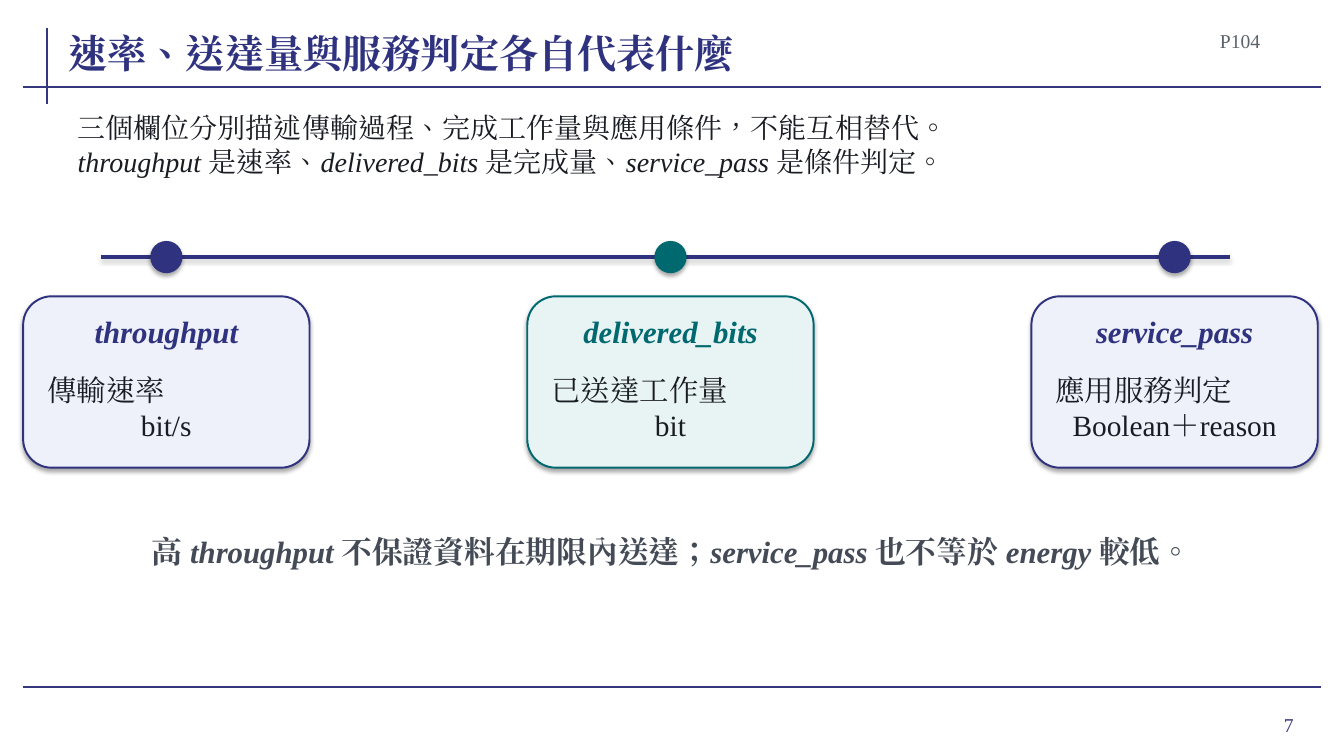
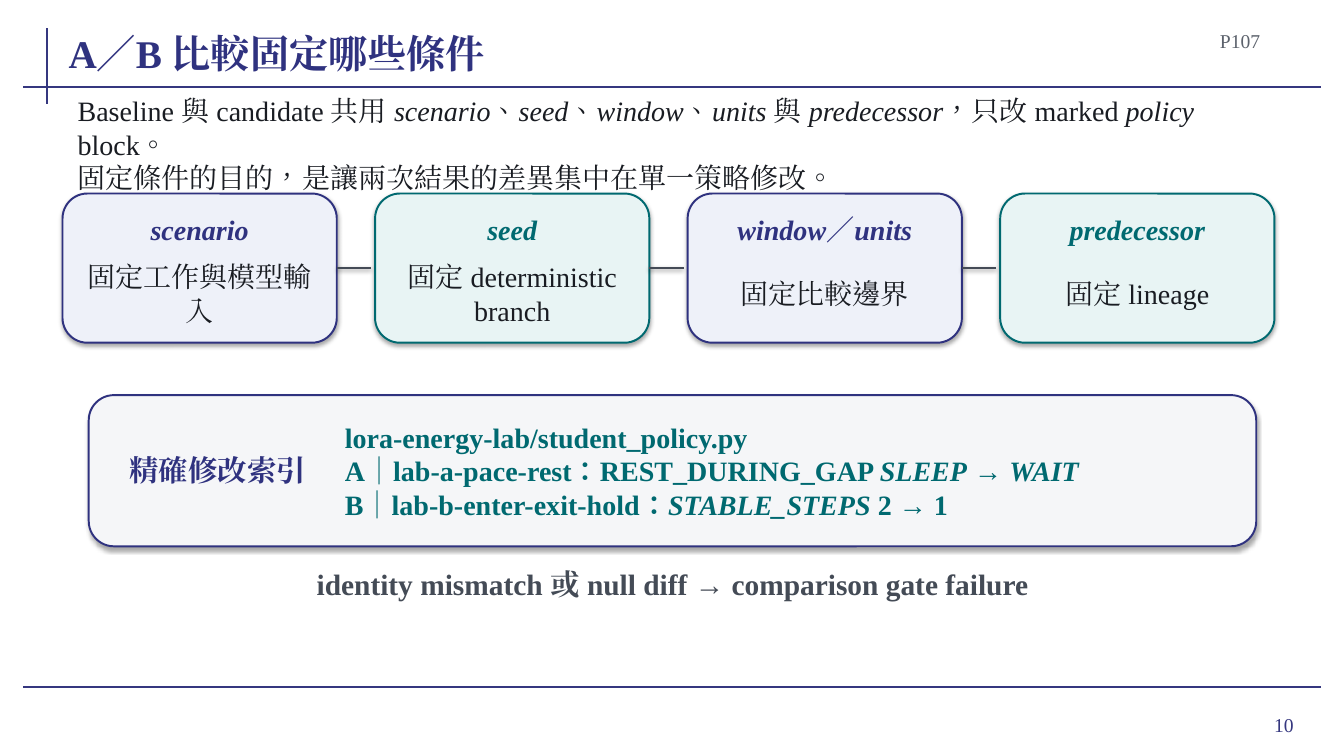
"""Build two lecture slides on measured fields and on A/B comparison conditions."""
from dataclasses import dataclass, replace
from typing import NamedTuple, Optional

from lxml import etree
from pptx import Presentation
from pptx.dml.color import RGBColor
from pptx.enum.lang import MSO_LANGUAGE_ID
from pptx.enum.shapes import MSO_CONNECTOR, MSO_SHAPE
from pptx.enum.text import MSO_ANCHOR, MSO_AUTO_SIZE, PP_ALIGN
from pptx.oxml.ns import qn
from pptx.shapes.autoshape import Shape
from pptx.shapes.base import BaseShape
from pptx.shapes.connector import Connector
from pptx.slide import Slide
from pptx.util import Inches, Pt

STRAIGHT = MSO_CONNECTOR.STRAIGHT
ROUNDED = MSO_SHAPE.ROUNDED_RECTANGLE
OVAL = MSO_SHAPE.OVAL
LEFT, CENTER, RIGHT = PP_ALIGN.LEFT, PP_ALIGN.CENTER, PP_ALIGN.RIGHT
TOP, MIDDLE, BOTTOM = MSO_ANCHOR.TOP, MSO_ANCHOR.MIDDLE, MSO_ANCHOR.BOTTOM
FIT_SHAPE = MSO_AUTO_SIZE.SHAPE_TO_FIT_TEXT
FIXED = MSO_AUTO_SIZE.NONE
CHINESE = MSO_LANGUAGE_ID.TRADITIONAL_CHINESE
RIGHT_SIDE = 3

FONT = "Times New Roman"
COLORS = {
    "white": "FFFFFF",
    "frame": "35377F",
    "navy": "2F327F",
    "teal": "006970",
    "navy_tint": "EEF1F9",
    "teal_tint": "E8F4F4",
    "panel": "F5F6F8",
    "ink": "191C22",
    "slate": "444B56",
    "gray": "5C626C",
}


class Area(NamedTuple):
    """Position and size in inches."""

    left: float
    top: float
    width: float
    height: float


class Shadow(NamedTuple):
    """Downward shadow: opacity in percent, blur and distance in points."""

    opacity: int
    blur: float
    distance: float


@dataclass(frozen=True)
class TextStyle:
    """Format of a text box; lead is the alignment of its first line."""

    size: float
    color: str
    bold: bool = False
    align: PP_ALIGN = CENTER
    lead: Optional[PP_ALIGN] = None
    anchor: MSO_ANCHOR = MIDDLE
    inset: float = 0.04
    fit: MSO_AUTO_SIZE = FIT_SHAPE


@dataclass(frozen=True)
class Card:
    """Heading and body of a card."""

    heading: str
    body: str


@dataclass(frozen=True)
class CardRow:
    """Row of equal cards with a fixed pitch."""

    first: Area
    pitch: float
    heading_size: float
    body_style: TextStyle
    cards: tuple[Card, ...]

    def area(self, index: int) -> Area:
        """Return the area of one card."""
        return self.first._replace(left=self.first.left + index * self.pitch)


SHAPE_SHADOW = Shadow(35, 3.1, 1.8)
LINE_SHADOW = Shadow(38, 3.1, 1.6)
ACCENTS = ("navy", "teal")

TITLE = TextStyle(28, "navy", True, LEFT, anchor=BOTTOM, inset=0, fit=FIXED)
PAGE_CODE = TextStyle(14, "gray", align=RIGHT)
PAGE_NUMBER = TextStyle(14, "frame", align=RIGHT, inset=0.1, fit=FIXED)
INTRO = TextStyle(20, "ink", align=LEFT, inset=0.01)
BODY = TextStyle(20, "ink")
INDEX_LABEL = TextStyle(21, "navy", True)
INDEX_TEXT = TextStyle(20, "teal", True, LEFT)
CONCLUSION = TextStyle(22, "slate", True)

FIELDS = CardRow(
    Area(0.23, 2.94, 2.84, 1.7), 5, 22, replace(BODY, size=21, lead=LEFT),
    (
        Card("*throughput*", "傳輸速率\nbit/s"),
        Card("*delivered_bits*", "已送達工作量\nbit"),
        Card("*service_pass*", "應用服務判定\nBoolean＋reason"),
    ),
)
CONDITIONS = CardRow(
    Area(0.62, 1.92, 2.72, 1.48), 3.1, 20, BODY,
    (
        Card("*scenario*", "固定工作與模型輸入"),
        Card("*seed*", "固定 deterministic branch"),
        Card("*window*／*units*", "固定比較邊界"),
        Card("*predecessor*", "固定 lineage"),
    ),
)


def rgb(name: str) -> RGBColor:
    """Return a named colour."""
    return RGBColor.from_string(COLORS[name])


def set_shadow(shape: BaseShape, shadow: Optional[Shadow]) -> None:
    """Replace the theme shadow by the given one, or by none."""
    effects = etree.SubElement(shape._element.spPr, qn("a:effectLst"))
    if shadow:
        outer = etree.SubElement(
            effects, qn("a:outerShdw"), blurRad=str(Pt(shadow.blur)),
            dist=str(Pt(shadow.distance)), dir="5400000", rotWithShape="0",
        )
        black = etree.SubElement(outer, qn("a:srgbClr"), val="000000")
        etree.SubElement(black, qn("a:alpha"), val=str(shadow.opacity * 1000))


def add_line(page: Slide, start: tuple[float, float], end: tuple[float, float],
             color: str, width: float, shadow: Optional[Shadow] = None) -> Connector:
    """Draw a straight line between two points."""
    line = page.shapes.add_connector(
        STRAIGHT, *(Inches(value) for value in (*start, *end)))
    line.line.color.rgb = rgb(color)
    line.line.width = Pt(width)
    set_shadow(line, shadow)
    return line


def add_block(page: Slide, kind: MSO_SHAPE, area: Area, fill: str,
              outline: Optional[str] = None) -> Shape:
    """Draw a filled shape with a soft shadow."""
    block = page.shapes.add_shape(kind, *(Inches(value) for value in area))
    block.fill.solid()
    block.fill.fore_color.rgb = rgb(fill)
    if outline:
        block.line.color.rgb = rgb(outline)
        block.line.width = Pt(1.4)
    else:
        block.line.fill.background()
    set_shadow(block, SHAPE_SHADOW)
    return block


def add_text(page: Slide, area: Area, text: str, style: TextStyle) -> None:
    """Add a text box; asterisks enclose italic words."""
    box = page.shapes.add_textbox(*(Inches(value) for value in area))
    frame = box.text_frame
    frame_format = {
        "word_wrap": True, "auto_size": style.fit, "vertical_anchor": style.anchor,
        "margin_left": Inches(style.inset), "margin_right": Inches(style.inset),
        "margin_top": Inches(min(style.inset, 0.05)),
        "margin_bottom": Inches(min(style.inset, 0.05)),
    }
    for name, value in frame_format.items():
        setattr(frame, name, value)
    for row, line in enumerate(text.split("\n")):
        para = frame.add_paragraph() if row else frame.paragraphs[0]
        para.alignment = style.lead if style.lead and row == 0 else style.align
        for part, words in enumerate(line.split("*")):
            if not words:
                continue
            span = para.add_run()
            span.text = words
            span_format = {
                "name": FONT, "size": Pt(style.size), "bold": style.bold,
                "italic": part % 2 == 1, "language_id": CHINESE,
            }
            for name, value in span_format.items():
                setattr(span.font, name, value)
            span.font.color.rgb = rgb(style.color)
            etree.SubElement(span._r.get_or_add_rPr(), qn("a:ea"), typeface=FONT)


def add_page(deck: Presentation, title: str, code: str, number: int, intro: str) -> Slide:
    """Add a slide with the shared frame, title, page marks and introduction."""
    page = deck.slides.add_slide(deck.slide_layouts[6])
    page.background.fill.solid()
    page.background.fill.fore_color.rgb = rgb("white")
    add_line(page, (0.47, 0.28), (0.47, 1.03), "frame", 1.5)
    for height in (0.86, 6.82):
        add_line(page, (0.23, height), (13.1, height), "frame", 1.5)
    add_text(page, Area(11.96, 6.93, 0.97, 0.52), str(number), PAGE_NUMBER)
    add_text(page, Area(0.68, 0.18, 10.9, 0.58), title, TITLE)
    add_text(page, Area(11.72, 0.27, 0.82, 0.26), code, PAGE_CODE)
    add_text(page, Area(0.76, 1.12, 11.78, 0.62), intro, INTRO)
    return page


def add_cards(page: Slide, row: CardRow) -> list[Shape]:
    """Draw a row of cards in alternating accents."""
    blocks = []
    for index, card in enumerate(row.cards):
        area = row.area(index)
        accent = ACCENTS[index % 2]
        blocks.append(add_block(page, ROUNDED, area, f"{accent}_tint", accent))
        heading = Area(area.left + 0.2, area.top + 0.16, area.width - 0.4, 0.38)
        body = heading._replace(top=area.top + 0.64, height=area.height - 0.78)
        add_text(page, heading, card.heading, TextStyle(row.heading_size, accent, True))
        add_text(page, body, card.body, row.body_style)
    return blocks


def add_fields_page(deck: Presentation) -> None:
    """Add the slide that explains the three fields."""
    page = add_page(
        deck, "速率、送達量與服務判定各自代表什麼", "P104", 7,
        "三個欄位分別描述傳輸過程、完成工作量與應用條件，不能互相替代。\n"
        "*throughput* 是速率、*delivered_bits* 是完成量、*service_pass* 是條件判定。")
    add_line(page, (1, 2.55), (12.2, 2.55), "navy", 2.2, LINE_SHADOW)
    for index in range(len(FIELDS.cards)):
        area = FIELDS.area(index)
        dot = Area(area.left + area.width / 2 - 0.16, 2.39, 0.32, 0.32)
        add_block(page, OVAL, dot, ACCENTS[index % 2])
    add_cards(page, FIELDS)
    add_text(page, Area(1.1, 5.12, 11.12, 0.7),
             "高 *throughput* 不保證資料在期限內送達；*service_pass* 也不等於 *energy* 較低。",
             CONCLUSION)


def add_conditions_page(deck: Presentation) -> None:
    """Add the slide that lists the fixed conditions."""
    page = add_page(
        deck, "A／B 比較固定哪些條件", "P107", 10,
        "Baseline 與 candidate 共用 *scenario*、*seed*、*window*、*units* 與 "
        "*predecessor*，只改 marked *policy *block。\n"
        "固定條件的目的，是讓兩次結果的差異集中在單一策略修改。")
    blocks = add_cards(page, CONDITIONS)
    for index, block in enumerate(blocks[:-1]):
        area = CONDITIONS.area(index)
        right, middle = area.left + area.width, area.top + area.height / 2
        link = add_line(page, (right, middle), (right + 0.34, middle),
                        "slate", 1.5, LINE_SHADOW)
        link.begin_connect(block, RIGHT_SIDE)
    add_block(page, ROUNDED, Area(0.88, 3.92, 11.58, 1.5), "panel", "navy")
    add_text(page, Area(1.1, 4.1, 2.12, 1.12), "精確修改索引", INDEX_LABEL)
    add_text(page, Area(3.38, 4.02, 8.72, 1.3),
             "lora-energy-lab/student_policy.py\n"
             "A｜lab-a-pace-rest：REST_DURING_GAP *SLEEP* → *WAIT*\n"
             "B｜lab-b-enter-exit-hold：*STABLE_STEPS *2 → 1", INDEX_TEXT)
    add_text(page, Area(1.36, 5.58, 10.62, 0.42),
             "identity mismatch 或 null diff → comparison gate failure",
             replace(CONCLUSION, size=21, anchor=TOP))


def main() -> None:
    """Build and save the deck."""
    deck = Presentation()
    deck.slide_width, deck.slide_height = Inches(13.33), Inches(7.5)
    add_fields_page(deck)
    add_conditions_page(deck)
    deck.save("out.pptx")


if __name__ == "__main__":
    main()
